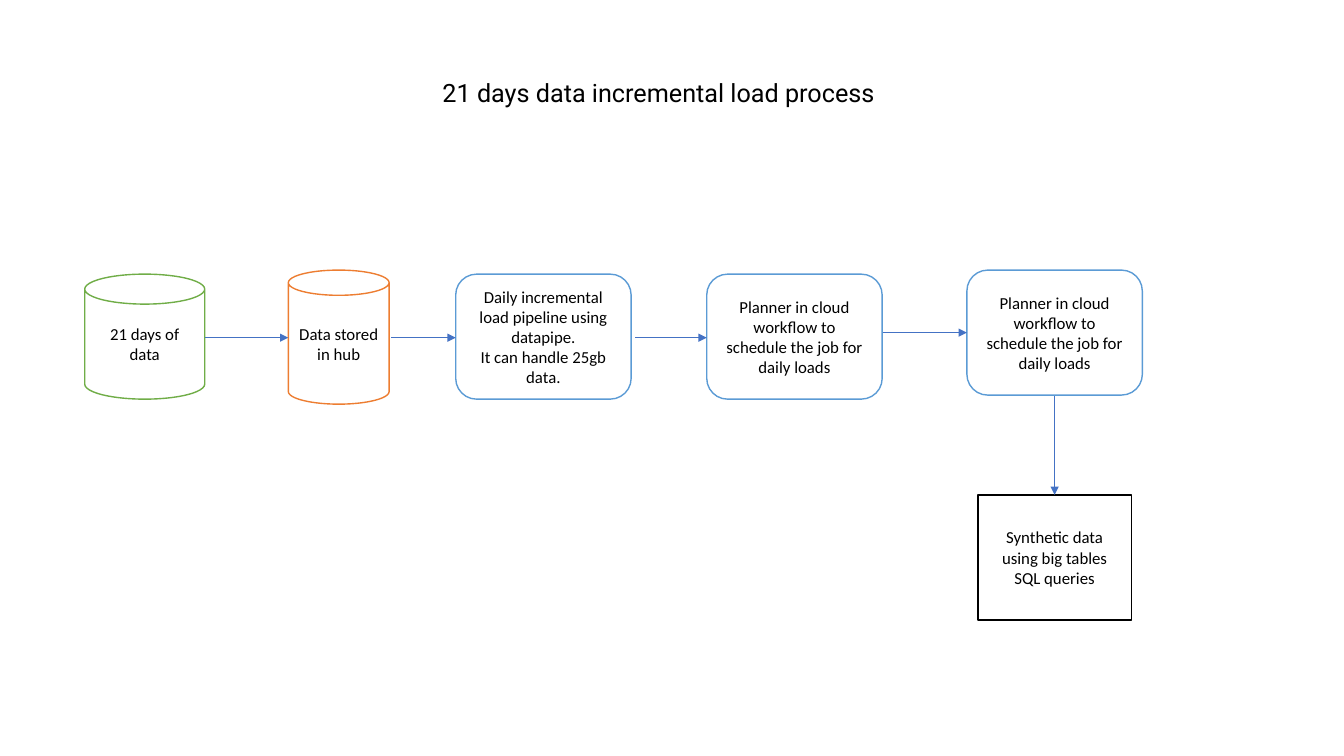
"""Build the slide on the 21 days data incremental load process."""
import pptx
import pptx.dml.color
import pptx.enum.shapes
import pptx.enum.text
import pptx.oxml
import pptx.oxml.ns
import pptx.util

Inches = pptx.util.Inches
Pt = pptx.util.Pt
kinds = pptx.enum.shapes.MSO_SHAPE
aligns = pptx.enum.text.PP_ALIGN


def color(code):
    return pptx.dml.color.RGBColor.from_string(code)


def write(frame, text, font, size, align):
    frame.text = text
    for para in frame.paragraphs:
        para.alignment = align
        for run in para.runs:
            run.font.name = font
            run.font.size = Pt(size)
            run.font.color.rgb = color("000000")


deck = pptx.Presentation()
deck.slide_width = Inches(13.33)
deck.slide_height = Inches(7.5)
slide = deck.slides.add_slide(deck.slide_layouts[6])

title = slide.shapes.add_textbox(Inches(4.29), Inches(0.72), Inches(4.8), Inches(0.4))
title.text_frame.word_wrap = True
write(title.text_frame, "21 days data incremental load process", "Roboto", 18, aligns.LEFT)

job = "Planner in cloud workflow to schedule the job for daily loads"
load = "Daily incremental load pipeline using datapipe.\nIt can handle 25gb data."
steps = [
    (kinds.CAN, 0.84, 2.72, 1.19, 1.24, "70AD47", "21 days of data"),
    (kinds.CAN, 2.86, 2.68, 1, 1.33, "ED7D31", "Data stored in hub"),
    (kinds.ROUNDED_RECTANGLE, 4.52, 2.72, 1.74, 1.24, "5B9BD5", load),
    (kinds.ROUNDED_RECTANGLE, 7.01, 2.72, 1.74, 1.24, "5B9BD5", job),
    (kinds.ROUNDED_RECTANGLE, 9.59, 2.68, 1.74, 1.24, "5B9BD5", job),
    (kinds.RECTANGLE, 9.7, 4.91, 1.52, 1.24, "000000", "Synthetic data using big tables SQL queries"),
]
for kind, left, top, width, height, edge, text in steps:
    step = slide.shapes.add_shape(kind, Inches(left), Inches(top), Inches(width), Inches(height))
    step.shadow.inherit = False
    step.fill.solid()
    step.fill.fore_color.rgb = color("FFFFFF")
    step.line.color.rgb = color(edge)
    step.line.width = Pt(1)
    step.text_frame.word_wrap = True
    step.text_frame.vertical_anchor = pptx.enum.text.MSO_ANCHOR.MIDDLE
    write(step.text_frame, text, "Calibri", 12, aligns.CENTER)

arrows = [
    (2.03, 3.35, 2.86, 3.35),
    (3.88, 3.35, 4.52, 3.35),
    (6.3, 3.35, 7.01, 3.35),
    (8.76, 3.3, 9.59, 3.3),
    (10.46, 3.93, 10.46, 4.91),
]
for ends in arrows:
    arrow = slide.shapes.add_connector(
        pptx.enum.shapes.MSO_CONNECTOR.STRAIGHT, *[Inches(end) for end in ends])
    arrow.line.color.rgb = color("4472C4")
    arrow.line.width = Pt(0.5)
    tip = pptx.oxml.parse_xml(
        f'<a:tailEnd {pptx.oxml.ns.nsdecls("a")} type="triangle"/>')
    arrow.line._get_or_add_ln().append(tip)
    arrow._element.spPr.append(
        pptx.oxml.parse_xml(f'<a:effectLst {pptx.oxml.ns.nsdecls("a")}/>'))

deck.save("out.pptx")
